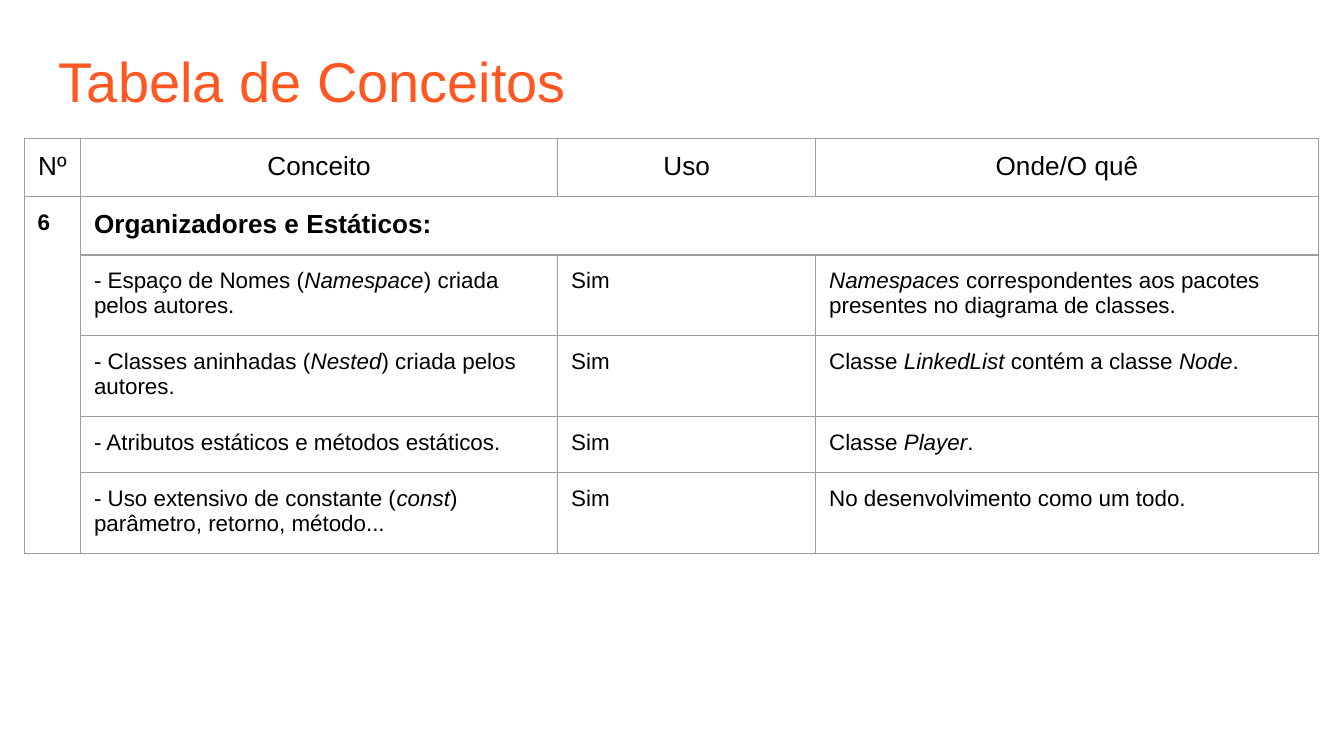
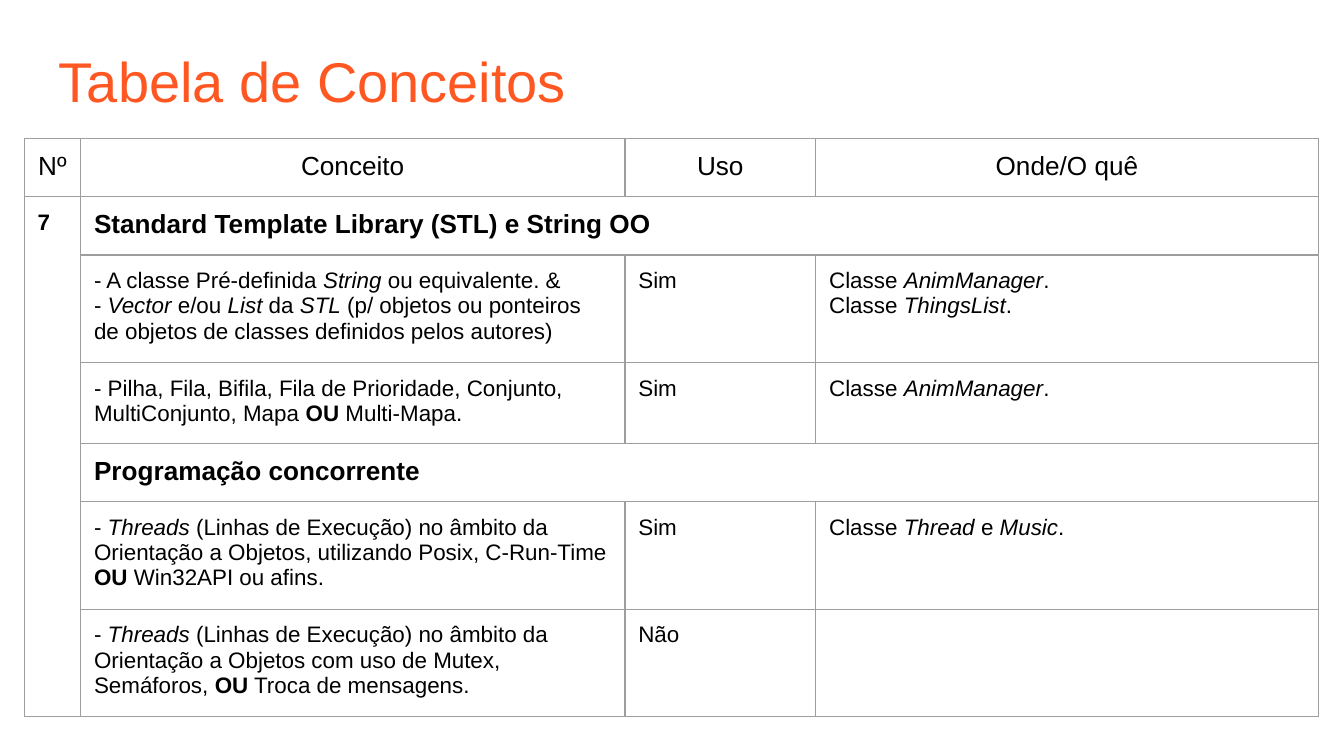
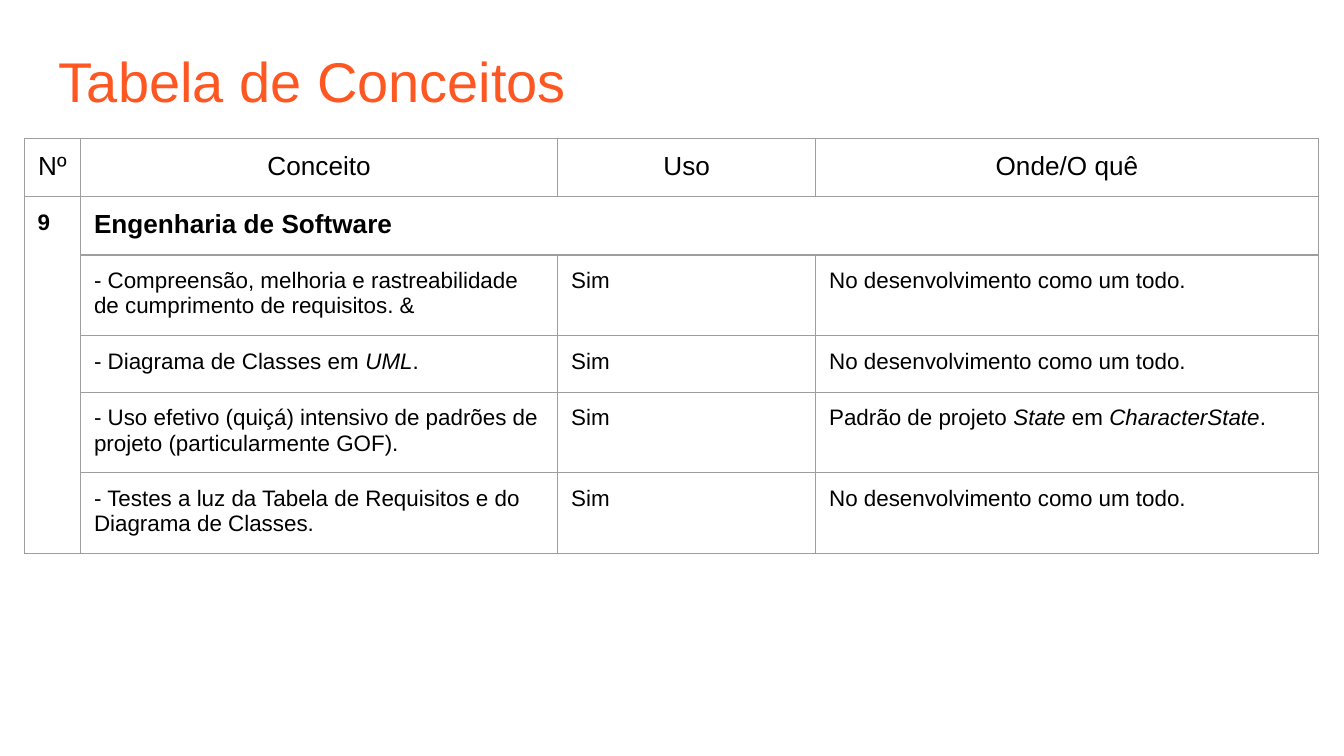
from pptx import Presentation
from pptx.dml.color import RGBColor
from pptx.enum.text import PP_ALIGN
from pptx.oxml.ns import qn
from pptx.util import Inches, Pt
from lxml import etree

CENTER, LEFT = PP_ALIGN.CENTER, PP_ALIGN.LEFT
COLORS = {"title": "FF5722", "text": "000000", "border": "9E9E9E"}
FONT = "Arial"
MARGIN = Inches(0.1)
TITLE = "Tabela de Conceitos"
TITLE_BOX = (0.34, 0.25, 9.32, 0.63)
TABLE_BOX = (0.18, 1.03, 3.28, 3.28)
HEADERS = ["Nº", "Conceito", "Uso", "Onde/O quê"]
TOP_ROW_HEIGHT, ROW_HEIGHT = 0.43, 0.42
NARROW_CONCEPT = [0.42, 3.55, 1.92, 3.74]
WIDE_CONCEPT = [0.42, 4.05, 1.42, 3.74]
EVERYWHERE = "No desenvolvimento como um todo."

# In cell text, _..._ is italic and *...* is bold; a one-item row is a section heading.
SLIDES = [
    ("6", NARROW_CONCEPT, [
        ["Organizadores e Estáticos:"],
        ["- Espaço de Nomes (_Namespace_) criada pelos autores.", "Sim",
         "_Namespaces_ correspondentes aos pacotes presentes no diagrama de classes."],
        ["- Classes aninhadas (_Nested_) criada pelos autores.", "Sim",
         "Classe _LinkedList_ contém a classe _Node_."],
        ["- Atributos estáticos e métodos estáticos.", "Sim", "Classe _Player_."],
        ["- Uso extensivo de constante (_const_) parâmetro, retorno, método...", "Sim",
         EVERYWHERE],
    ]),
    ("7", WIDE_CONCEPT, [
        ["Standard Template Library (STL) e String OO"],
        ["- A classe Pré-definida _String_ ou equivalente. &\n"
         "- _Vector_ e/ou _List_ da _STL_ (p/ objetos ou ponteiros de objetos "
         "de classes definidos pelos autores)", "Sim",
         "Classe _AnimManager_.\nClasse _ThingsList_."],
        ["- Pilha, Fila, Bifila, Fila de Prioridade, Conjunto, MultiConjunto, "
         "Mapa *OU* Multi-Mapa.", "Sim", "Classe _AnimManager_."],
        ["Programação concorrente"],
        ["- _Threads_ (Linhas de Execução) no âmbito da Orientação a Objetos, "
         "utilizando Posix, C-Run-Time *OU* Win32API ou afins.", "Sim",
         "Classe _Thread_ e _Music_."],
        ["- _Threads_ (Linhas de Execução) no âmbito da Orientação a Objetos "
         "com uso de Mutex, Semáforos, *OU* Troca de mensagens.", "Não", ""],
    ]),
    ("9", NARROW_CONCEPT, [
        ["Engenharia de Software"],
        ["- Compreensão, melhoria e rastreabilidade de cumprimento de requisitos. &",
         "Sim", EVERYWHERE],
        ["- Diagrama de Classes em _UML_.", "Sim", EVERYWHERE],
        ["- Uso efetivo (quiçá) intensivo de padrões de projeto "
         "(particularmente GOF).", "Sim",
         "Padrão de projeto _State_ em _CharacterState_."],
        ["- Testes a luz da Tabela de Requisitos e do Diagrama de Classes.", "Sim",
         EVERYWHERE],
    ]),
]


def add_run(p, text, size, color, bold=False, italic=False):
    r = p.add_run()
    r.text = text
    r.font.name, r.font.size = FONT, Pt(size)
    r.font.bold, r.font.italic = bold, italic
    r.font.color.rgb = RGBColor.from_string(COLORS[color])


def write_cell(cell, text, size=12, bold=False, align=LEFT):
    """Write one paragraph per line, turning the markup into italic and bold runs."""
    tf = cell.text_frame
    for n, line in enumerate(text.split("\n")):
        p = tf.add_paragraph() if n else tf.paragraphs[0]
        p.alignment = align
        p.line_spacing, p.space_before, p.space_after = 1.0, Pt(0), Pt(0)
        for i, part in enumerate(line.split("_")):
            for j, piece in enumerate(part.split("*")):
                if piece:
                    add_run(p, piece, size, "text", bold or j % 2 == 1, i % 2 == 1)
        etree.SubElement(p._p, qn("a:endParaRPr"), sz=str(size * 100))


def style_cell(cell):
    """Set the margins, the thin grey borders and an empty fill."""
    cell.margin_left = cell.margin_right = MARGIN
    cell.margin_top = cell.margin_bottom = MARGIN
    tc_pr = cell._tc.get_or_add_tcPr()
    for side in ("lnL", "lnR", "lnT", "lnB"):
        ln = etree.SubElement(tc_pr, qn("a:" + side), w=str(Pt(0.75)))
        fill = etree.SubElement(ln, qn("a:solidFill"))
        etree.SubElement(fill, qn("a:srgbClr"), val=COLORS["border"])
    cell.fill.background()


def add_title(s, box):
    tf = s.shapes.add_textbox(*map(Inches, box)).text_frame
    tf.word_wrap = True
    tf.margin_left = tf.margin_right = MARGIN
    tf.margin_top = tf.margin_bottom = MARGIN
    add_run(tf.paragraphs[0], TITLE, 30, "title")


def add_concept_table(s, box, number, widths, rows):
    heights = [TOP_ROW_HEIGHT] * 2 + [ROW_HEIGHT] * (len(rows) - 1)
    frame = s.shapes.add_table(len(heights), len(widths), *map(Inches, box))
    table = frame.table
    table.first_row = table.horz_banding = False
    for col, width in zip(table.columns, widths):
        col.width = Inches(width)
    for row, height in zip(table.rows, heights):
        row.height = Inches(height)
    frame.width, frame.height = map(Inches, box[2:])
    for cell in table.iter_cells():
        style_cell(cell)

    for c, header in enumerate(HEADERS):
        write_cell(table.cell(0, c), header, 14, align=CENTER)
    table.cell(1, 0).merge(table.cell(len(rows), 0))
    write_cell(table.cell(1, 0), number, bold=True)
    for r, row in enumerate(rows, 1):
        if len(row) == 1:
            table.cell(r, 1).merge(table.cell(r, len(widths) - 1))
            write_cell(table.cell(r, 1), row[0], 14, bold=True)
        else:
            for c, text in enumerate(row, 1):
                write_cell(table.cell(r, c), text)


def main():
    prs = Presentation()
    prs.slide_width = Inches(10)
    prs.slide_height = prs.slide_width * 9 // 16
    for number, widths, rows in SLIDES:
        s = prs.slides.add_slide(prs.slide_layouts[6])
        add_title(s, TITLE_BOX)
        add_concept_table(s, TABLE_BOX, number, widths, rows)
    prs.save("out.pptx")


if __name__ == "__main__":
    main()
